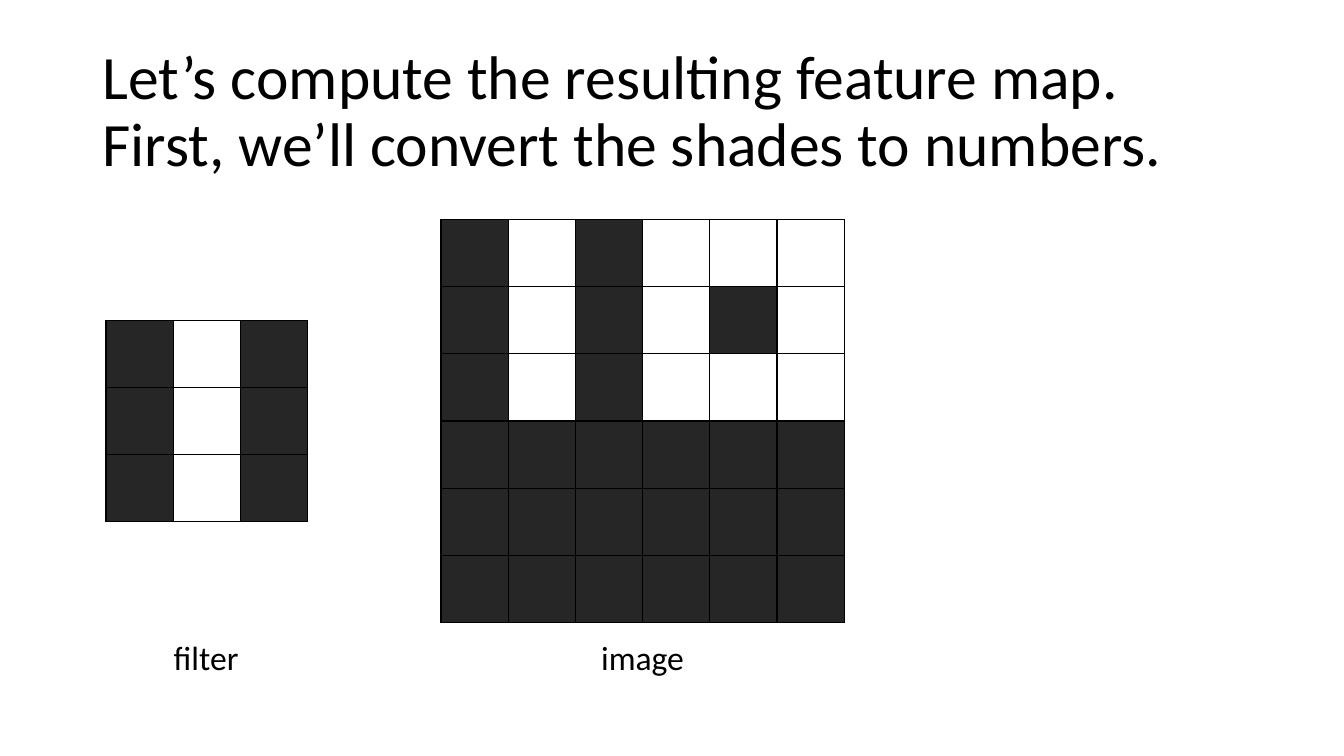
"""Build the slide that shows a filter and an image as grids of shaded cells."""
from lxml.etree import SubElement
from pptx import Presentation
from pptx.dml.color import RGBColor
from pptx.enum.text import MSO_ANCHOR, MSO_AUTO_SIZE, PP_ALIGN
from pptx.oxml.ns import qn
from pptx.util import Pt

PX = 9525
CELL = 64
FONT = "Calibri"
BLACK = RGBColor(0x00, 0x00, 0x00)
WHITE = RGBColor(0xFF, 0xFF, 0xFF)
DARK = RGBColor(0x26, 0x26, 0x26)
SHADES = {"#": DARK, ".": WHITE}
FILTER = ["#.#"] * 3
IMAGE = ["#.#...", "#.#.#.", "#.#..."] + ["######"] * 3


def px(*lengths):
    return [n * PX for n in lengths]


def format_text(tf, size):
    for p in tf.paragraphs:
        p.alignment = PP_ALIGN.LEFT
        for r in p.runs:
            r.font.name = FONT
            r.font.size = Pt(size)
            r.font.color.rgb = BLACK


def set_title(s, text, box):
    title = s.shapes.title
    title.left, title.top, title.width, title.height = px(*box)
    tf = title.text_frame
    tf.text = text
    tf.word_wrap = True
    tf.auto_size = MSO_AUTO_SIZE.NONE
    tf.vertical_anchor = MSO_ANCHOR.MIDDLE
    tf.paragraphs[0].line_spacing = 0.9
    format_text(tf, 44)


def add_label(s, text, box):
    tf = s.shapes.add_textbox(*px(*box)).text_frame
    tf.text = text
    tf.word_wrap = False
    tf.auto_size = MSO_AUTO_SIZE.SHAPE_TO_FIT_TEXT
    format_text(tf, 24)


def shade_cell(cell, color):
    tcPr = cell._tc.get_or_add_tcPr()
    for side in ("lnL", "lnR", "lnT", "lnB"):
        ln = SubElement(tcPr, qn(f"a:{side}"), w=str(Pt(1)))
        fill = SubElement(ln, qn("a:solidFill"))
        SubElement(fill, qn("a:srgbClr"), val=str(BLACK))
    cell.fill.solid()
    cell.fill.fore_color.rgb = color


def add_grid(s, pattern, left, top):
    rows, cols = len(pattern), len(pattern[0])
    box = px(left, top, cols * CELL, rows * CELL)
    table = s.shapes.add_table(rows, cols, *box).table
    for i, line in enumerate(pattern):
        for j, mark in enumerate(line):
            shade_cell(table.cell(i, j), SHADES[mark])


def main():
    prs = Presentation()
    prs.slide_width, prs.slide_height = px(1280, 720)
    s = prs.slides.add_slide(prs.slide_layouts[5])
    set_title(s, "Let’s compute the resulting feature map. "
                 "First, we’ll convert the shades to numbers.",
              (88, 38, 1104, 139))
    add_grid(s, FILTER, 101, 305)
    add_label(s, "filter", (156, 602, 82, 48))
    add_label(s, "image", (563, 602, 99, 48))
    add_grid(s, IMAGE, 420, 209)
    prs.save("out.pptx")


if __name__ == "__main__":
    main()
